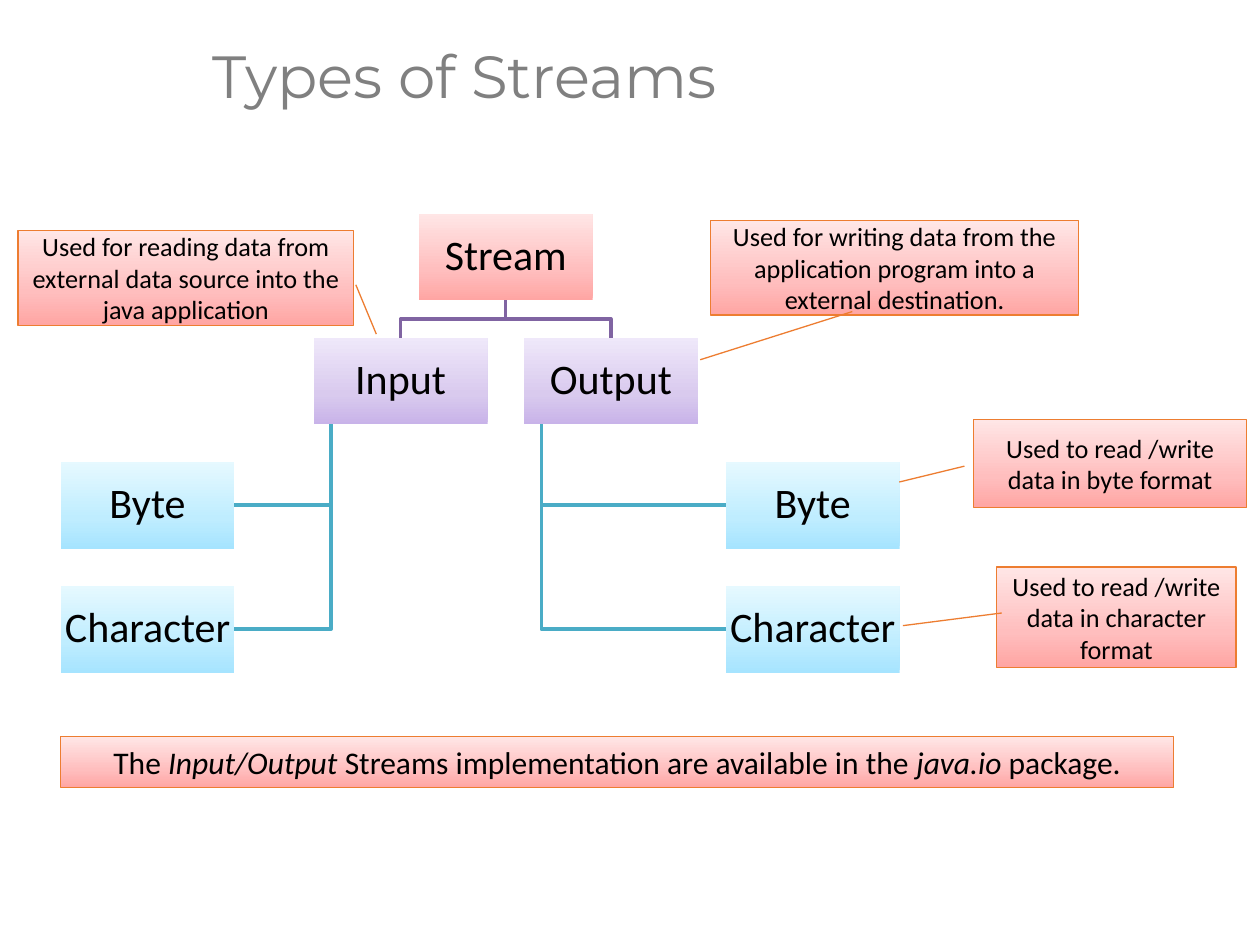
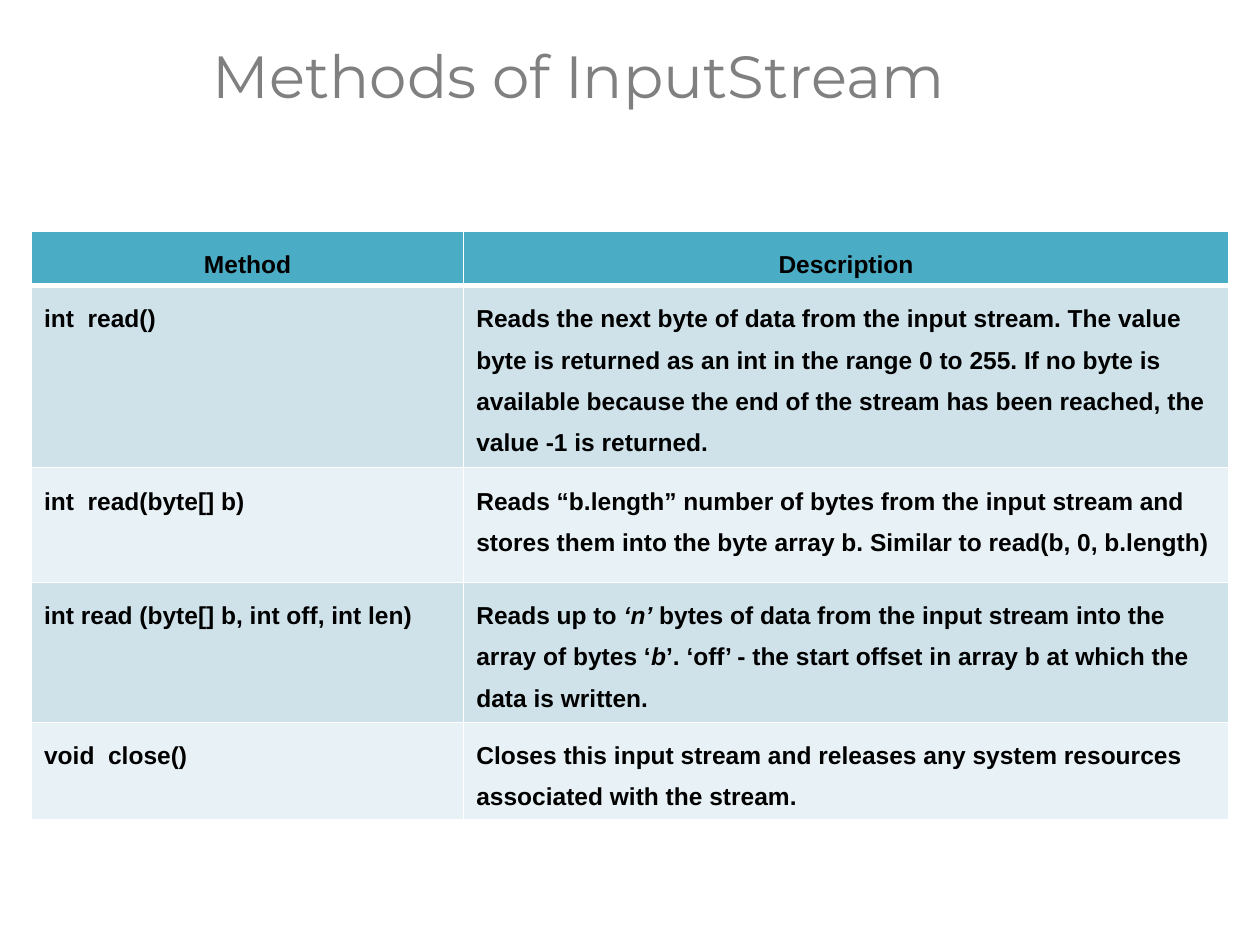
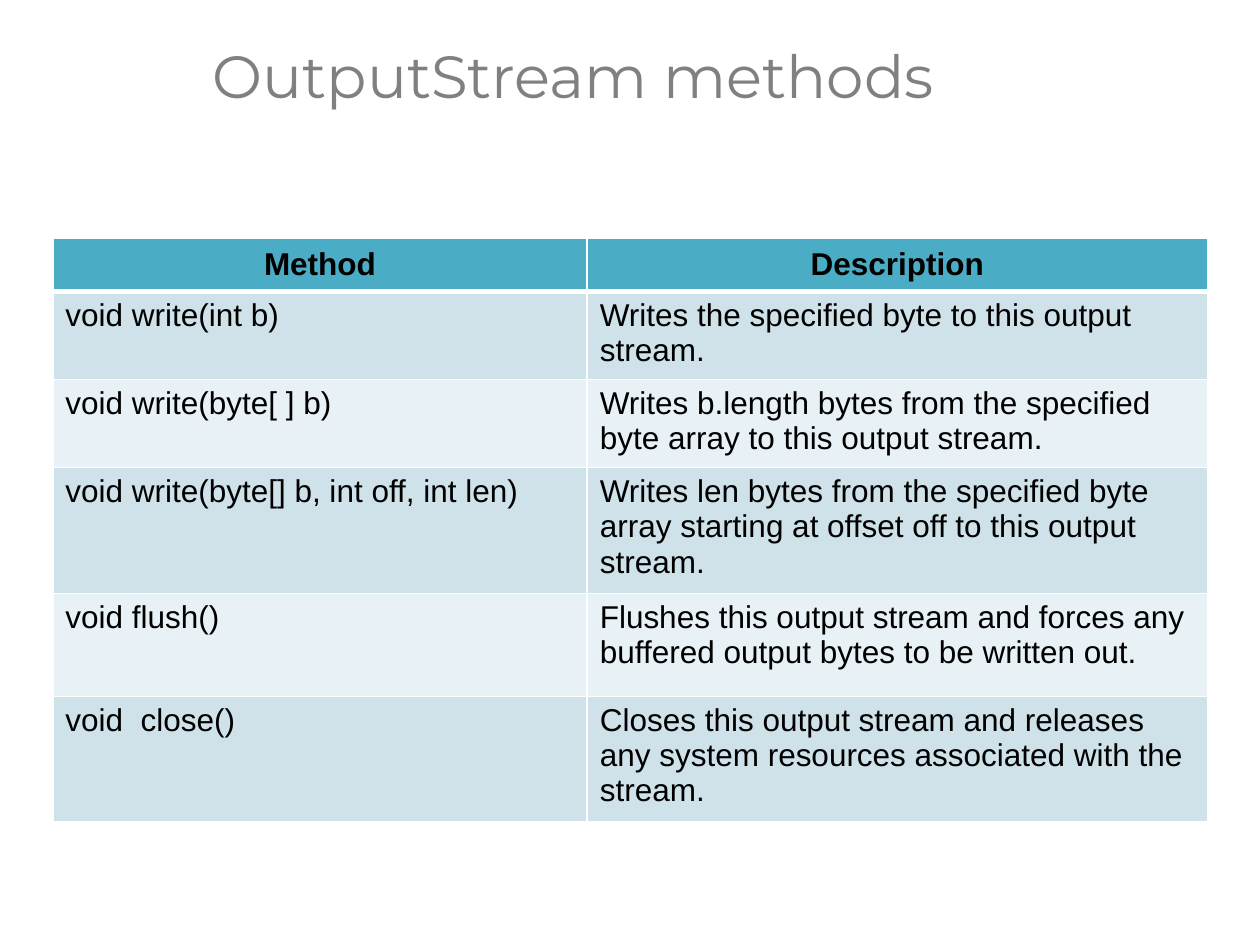
from copy import deepcopy
from dataclasses import dataclass

from pptx import Presentation
from pptx.dml.color import RGBColor as RGB
from pptx.enum.shapes import MSO_SHAPE as SHAPE
from pptx.enum.text import MSO_ANCHOR as ANCHOR, MSO_AUTO_SIZE as AUTO, PP_ALIGN as ALIGN
from pptx.oxml.ns import qn
from pptx.oxml.xmlchemy import OxmlElement as Element
from pptx.util import Pt


@dataclass(frozen=True)
class Theme:
    """Colours, fonts and type sizes shared by the slides."""
    black: str = "000000"
    white: str = "FFFFFF"
    grey: str = "808080"
    orange: str = "ED7D31"
    teal: str = "4AACC6"
    purple: str = "8064A2"
    header: str = "4BACC6"
    bands: tuple = ("CFE2EA", "E8F1F5")
    rose_grad: tuple = ("FFA5A3", "FFBEBE", "FFE6E6")
    violet_grad: tuple = ("C8B3E9", "D9CAEE", "EFE8FA")
    sky_grad: tuple = ("A6E4FF", "BFEDFF", "E6F9FF")
    grad_stops: tuple = (0, 0.35, 1)
    title_font: str = "Montserrat"
    diagram_font: str = "Calibri"
    table_font: str = "Arial"
    title_size: float = 34
    node_size: float = 24
    bar_size: float = 18
    callout_size: float = 15


T = Theme()
NODE_W, NODE_H, NODE_TOP, NODE_PITCH = 99.4, 49.7, 122, 70.9

CALLOUTS = [
    ("Used for reading data from external data source into the java application",
     (10.2, 131.8, 192, 54), (0.573, 1.006, 1.095, 1.067)),
    ("Used for writing data from the application program into a external destination.",
     (406.2, 126, 210, 54), (0.964, 0.385, 1.474, -0.029)),
    ("Used to read /write data in byte format",
     (556.4, 239.8, 156, 50.4), (0.708, -0.273, 0.528, -0.034)),
    ("Used to read /write data in character format",
     (569.6, 324, 136.8, 57.4), (0.584, -0.392, 0.458, 0.021)),
]

INPUT_METHODS = [
    ("Method", "Description"),
    ("int  read()",
     "Reads the next byte of data from the input stream. The value byte is returned as an int "
     "in the range 0 to 255. If no byte is available because the end of the stream has been "
     "reached, the value -1 is returned."),
    ("int  read(byte[] b)",
     "Reads “b.length” number of bytes from the input stream and stores them into the byte "
     "array b. Similar to read(b, 0, b.length)"),
    ("int read (byte[] b, int off, int len)",
     "Reads up to *‘n’* bytes of data from the input stream into the array of bytes ‘*b*’. "
     "‘off’ - the start offset in array b at which the data is written."),
    ("void  close()",
     "Closes this input stream and releases any system resources associated with the stream."),
]

OUTPUT_METHODS = [
    ("Method", "Description"),
    ("void write(int b)", "Writes the specified byte to this output stream."),
    ("void write(byte[ ] b)",
     "Writes b.length bytes from the specified byte array to this output stream."),
    ("void write(byte[] b, int off, int len)",
     "Writes len bytes from the specified byte array starting at offset off to this output "
     "stream."),
    ("void flush()",
     "Flushes this output stream and forces any buffered output bytes to be written out."),
    ("void  close()",
     "Closes this output stream and releases any system resources associated with the stream."),
]


def color(value):
    """Turn a hex string into a colour."""
    return RGB.from_string(value)


def write(tf, text, font, size, fill=T.black, align=ALIGN.LEFT, spacing=1.0, bold=False):
    """Write one paragraph whose parts between asterisks are italic."""
    p = tf.paragraphs[0]
    p.alignment, p.line_spacing = align, spacing
    for i, part in enumerate(text.split("*")):
        r = p.add_run()
        r.text = part
        r.font.name, r.font.size = font, Pt(size)
        r.font.bold, r.font.italic = bold, i % 2 == 1
        r.font.color.rgb = color(fill)


def add_slide(prs, title):
    """Add a title-only slide with the shared title style."""
    s = prs.slides.add_slide(prs.slide_layouts[5])
    sp = s.shapes.title
    sp.left, sp.top, sp.width, sp.height = Pt(114.5), Pt(0.7), Pt(605.5), Pt(89.3)
    tf = sp.text_frame
    tf.word_wrap, tf.auto_size = True, AUTO.NONE
    tf.vertical_anchor = ANCHOR.MIDDLE
    write(tf, title, T.title_font, T.title_size, T.grey, spacing=0.9)
    return s


def fill_gradient(sp, colors):
    """Fill a shape with three stops running from bottom to top."""
    sp.fill.gradient()
    sp.fill.gradient_angle = 90
    stops = sp._element.spPr.find(".//" + qn("a:gsLst"))
    stops.append(deepcopy(stops[-1]))
    for stop, position, value in zip(sp.fill.gradient_stops, T.grad_stops, colors):
        stop.position = position
        stop.color.rgb = color(value)


def add_box(s, text, box, colors, size, kind=SHAPE.RECTANGLE, line=T.orange, spacing=1.0):
    """Add a gradient box with centred text."""
    sp = s.shapes.add_shape(kind, *map(Pt, box))
    sp.shadow.inherit = False
    fill_gradient(sp, colors)
    if line:
        sp.line.color.rgb, sp.line.width = color(line), Pt(0.75)
    else:
        sp.line.fill.background()
    tf = sp.text_frame
    tf.word_wrap, tf.vertical_anchor = True, ANCHOR.MIDDLE
    write(tf, text, T.diagram_font, size, align=ALIGN.CENTER, spacing=spacing)
    return sp


def add_node(s, text, left, row, colors):
    """Add a tree node on a row of the diagram."""
    box = (left, NODE_TOP + row * NODE_PITCH, NODE_W, NODE_H)
    tf = add_box(s, text, box, colors, T.node_size, line=None, spacing=0.9).text_frame
    tf.margin_left = tf.margin_right = tf.margin_top = tf.margin_bottom = Pt(1.2)


def add_callout(s, text, box, pointer):
    """Add a line callout whose pointer is given by its adjustments."""
    sp = add_box(s, text, box, T.rose_grad, T.callout_size, SHAPE.LINE_CALLOUT_1)
    for i, value in enumerate(pointer):
        sp.adjustments[i] = value


def add_branch(s, points, line):
    """Add an open angled line through the points."""
    start, *rest = [(Pt(x), Pt(y)) for x, y in points]
    builder = s.shapes.build_freeform(*start)
    builder.add_line_segments(rest, close=False)
    sp = builder.convert_to_shape()
    sp.shadow.inherit = False
    sp.fill.background()
    sp.line.color.rgb, sp.line.width = color(line), Pt(2)


def add_tree(s):
    """Draw the stream tree with its branches behind the nodes."""
    root, half = 239.3, NODE_W / 2
    top_end, sub_top = NODE_TOP + NODE_H, NODE_TOP + NODE_PITCH
    bend = (top_end + sub_top) / 2
    sides = [("Input", root - 60.1, 34.6, NODE_W), ("Output", root + 60.1, 414.7, 0)]
    leaves = list(enumerate(("Byte", "Character"), start=2))
    for _, left, leaf, edge in sides:
        stem = left + NODE_W / 10
        for row, _ in leaves:
            y = NODE_TOP + row * NODE_PITCH + NODE_H / 2
            add_branch(s, [(stem, sub_top + NODE_H), (stem, y), (leaf + edge, y)], T.teal)
        add_branch(s, [(root + half, top_end), (root + half, bend),
                       (left + half, bend), (left + half, sub_top)], T.purple)
    add_node(s, "Stream", root, 0, T.rose_grad)
    for name, left, leaf, _ in sides:
        add_node(s, name, left, 1, T.violet_grad)
        for row, text in leaves:
            add_node(s, text, leaf, row, T.sky_grad)


def add_border(cell, side, width):
    """Give one side of a cell a white border."""
    ln = Element("a:ln" + side)
    ln.set("w", str(Pt(width)))
    solid, rgb = Element("a:solidFill"), Element("a:srgbClr")
    rgb.set("val", T.white)
    solid.append(rgb)
    ln.append(solid)
    cell._tc.get_or_add_tcPr().append(ln)


def add_methods(s, rows, left, top, widths, heights, size, spacing=1.0, bold=False,
                head_anchor=ANCHOR.TOP):
    """Add a banded table of methods under a header row."""
    shape = s.shapes.add_table(len(rows), len(widths), Pt(left), Pt(top),
                               Pt(sum(widths)), Pt(sum(heights)))
    table = shape.table
    for column, width in zip(table.columns, widths):
        column.width = Pt(width)
    for i, (texts, height) in enumerate(zip(rows, heights)):
        head = i == 0
        table.rows[i].height = Pt(height)
        for j, text in enumerate(texts):
            cell = table.cell(i, j)
            for side in "LRTB":
                add_border(cell, side, 3 if (i, side) in ((0, "B"), (1, "T")) else 1)
            cell.fill.solid()
            cell.fill.fore_color.rgb = color(T.header if head else T.bands[(i - 1) % 2])
            cell.vertical_anchor = head_anchor if head else ANCHOR.TOP
            write(cell.text_frame, text, T.table_font, size, spacing=spacing,
                  align=ALIGN.CENTER if head else ALIGN.LEFT, bold=head or bold)


def main():
    """Build the three slides and save them."""
    prs = Presentation()
    prs.slide_width, prs.slide_height = Pt(720), Pt(540)

    s = add_slide(prs, "Types of Streams")
    add_box(s, "The *Input/Output *Streams implementation are available in the *java.io* package.",
            (34.6, 421, 636, 29.1), T.rose_grad, T.bar_size)
    add_tree(s)
    for text, box, pointer in CALLOUTS:
        add_callout(s, text, box, pointer)

    s = add_slide(prs, "Methods of InputStream")
    add_methods(s, INPUT_METHODS, 18, 132, (247, 437), (31.2, 104.1, 65.5, 80, 55.5),
                size=14, spacing=1.5, bold=True)

    s = add_slide(prs, "OutputStream methods")
    add_methods(s, OUTPUT_METHODS, 30.2, 136.4, (305.4, 354.4), (30, 50.4, 50.4, 72, 58.8, 71.6),
                size=18, head_anchor=ANCHOR.MIDDLE)

    prs.save("out.pptx")


if __name__ == "__main__":
    main()
